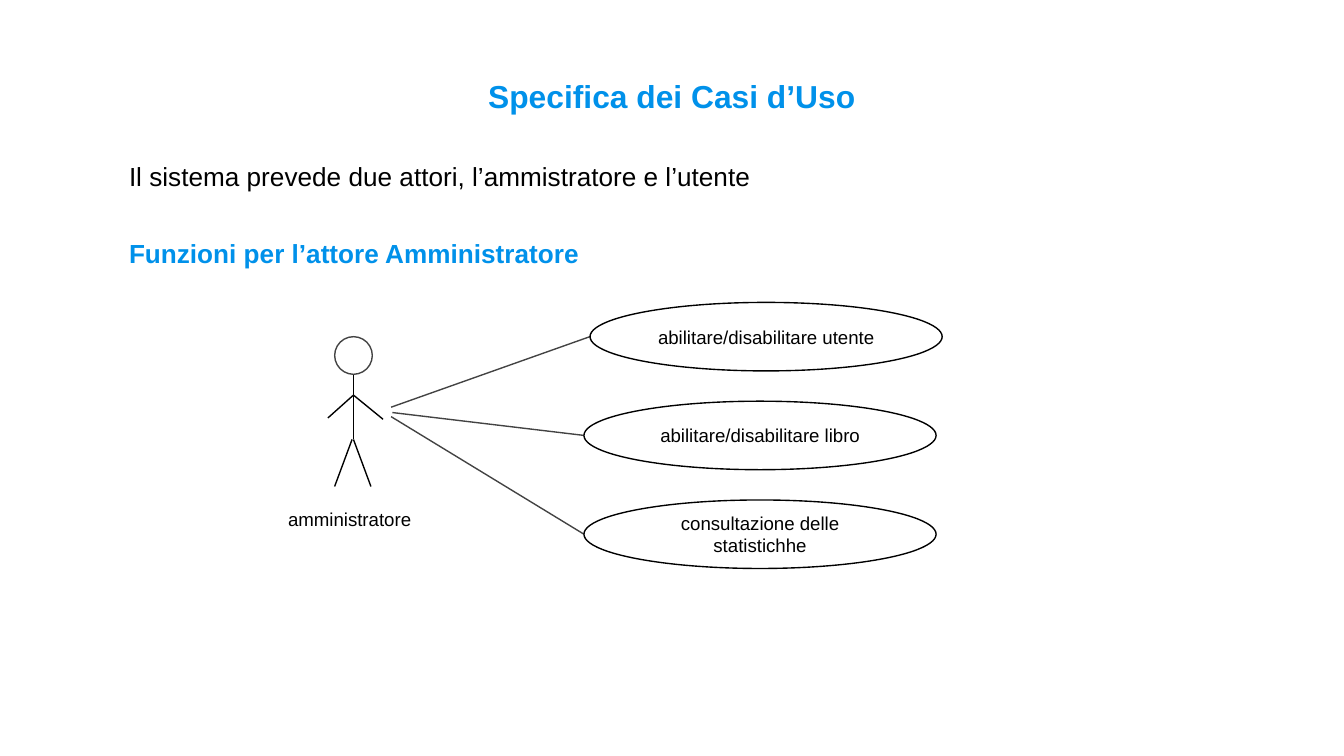
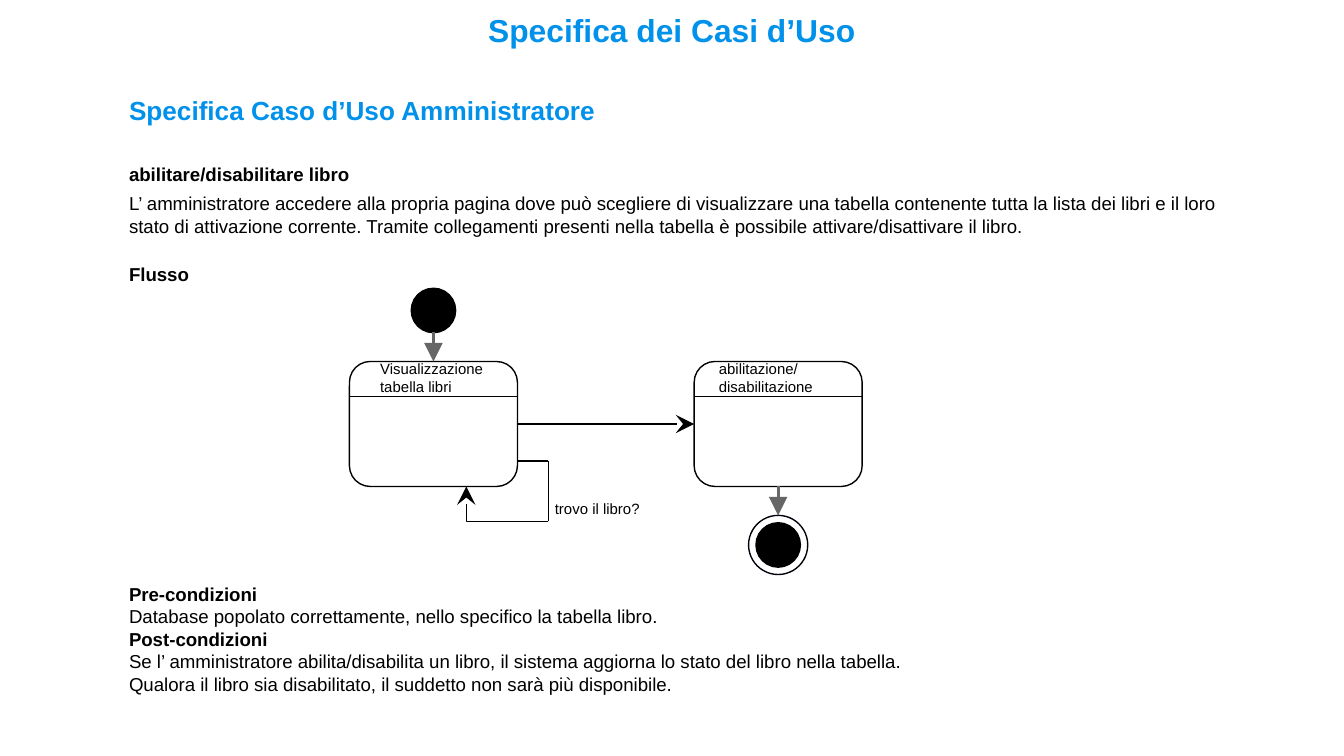
from pptx import Presentation
from pptx import util as u
from pptx.dml.color import RGBColor
from pptx.enum import shapes, text
from pptx.oxml.ns import qn
from lxml import etree

CELL = u.Inches(0.1)
COLS, ROWS = 100, 56.25
LEFT, SPAN = 8.6, 82.8
FACE = "Arial"
BLUE = RGBColor(0x00, 0x91, 0xEA)
BLACK = RGBColor(0, 0, 0)
INK = RGBColor(0x00, 0x00, 0x0A)
GRAY = RGBColor(0x66, 0x66, 0x66)
DARK = RGBColor(0x43, 0x43, 0x43)
LEAD = {"line_spacing": 1.15, "space_before": u.Pt(18), "space_after": u.Pt(4)}
PLAIN = {"line_spacing": 1.0, "space_before": u.Pt(0), "space_after": u.Pt(0)}
OVAL = shapes.MSO_SHAPE.OVAL
ROUND = shapes.MSO_SHAPE.ROUNDED_RECTANGLE
CENTER = text.PP_ALIGN.CENTER


def grid(*cells):
    return [round(c * CELL) for c in cells]


def apply(item, form):
    for key, value in form.items():
        setattr(item, key, value)


def style(par, size, color=BLACK, bold=False, form=PLAIN):
    apply(par, form)
    apply(par.font, {"name": FACE, "size": u.Pt(size), "bold": bold})
    par.font.color.rgb = color


def frame(shape, pad=0.1, anchor=text.MSO_ANCHOR.TOP):
    tf = shape.text_frame
    apply(tf, {"word_wrap": True, "auto_size": text.MSO_AUTO_SIZE.NONE,
               "vertical_anchor": anchor,
               "margin_left": u.Inches(0.1), "margin_right": u.Inches(0.1),
               "margin_top": u.Inches(pad), "margin_bottom": u.Inches(pad)})
    return tf


def place(shape, *cells):
    apply(shape, dict(zip(("left", "top", "width", "height"), grid(*cells))))


def title(slide, top):
    box = slide.shapes.title
    place(box, LEFT, top, SPAN, 4)
    tf = frame(box, 0, text.MSO_ANCHOR.MIDDLE)
    tf.text = "Specifica dei Casi d’Uso"
    style(tf.paragraphs[0], 17, BLUE, True, {**PLAIN, "alignment": CENTER})


def body(slide, index, top, high, rows):
    box = slide.placeholders[index]
    place(box, LEFT, top, SPAN, high)
    tf = frame(box, 0)
    tf.text = "\n".join(row[0] for row in rows)
    for n, (par, row) in enumerate(zip(tf.paragraphs, rows)):
        props = par._p.get_or_add_pPr()
        props.set("marL", "0")
        props.set("indent", "0")
        etree.SubElement(props, qn("a:buNone"))
        style(par, *row[1:])
        if n == 0:
            par.space_before = u.Pt(0)


def label(slide, words, size, *cells):
    tf = frame(slide.shapes.add_textbox(*grid(*cells)))
    tf.text = words
    for par in tf.paragraphs:
        style(par, size)


def form(tree, kind, cells, color=BLACK, width=0.75, fill=None):
    shape = tree.add_shape(kind, *grid(*cells))
    shape.shadow.inherit = False
    if fill is None:
        shape.fill.background()
    else:
        shape.fill.solid()
        shape.fill.fore_color.rgb = fill
    shape.line.color.rgb = color
    shape.line.width = u.Pt(width)
    return shape


def line(tree, ends, color=BLACK, width=0.75, head=None,
         kind=shapes.MSO_CONNECTOR.STRAIGHT):
    link = tree.add_connector(kind, *grid(*ends))
    link.line.color.rgb = color
    link.line.width = u.Pt(width)
    if head:
        etree.SubElement(link.line._get_or_add_ln(), qn("a:tailEnd"),
                         type=head, w="lg", len="lg")
    etree.SubElement(link._element.spPr, qn("a:effectLst"))
    return link


def bend(tree, ends, head):
    link = line(tree, ends, head=head, kind=shapes.MSO_CONNECTOR.ELBOW)
    geom = link._element.spPr.find(qn("a:prstGeom"))
    guides = geom.find(qn("a:avLst"))
    if guides is None:
        guides = etree.SubElement(geom, qn("a:avLst"))
    etree.SubElement(guides, qn("a:gd"), name="adj1", fmla="val 100000")


def actor(slide):
    tree = slide.shapes.add_group_shape().shapes
    form(tree, OVAL, (24.9, 25.05, 2.8, 2.8), DARK)
    for ends in ((26.3, 27.9, 26.3, 32.7), (26.3, 29.4, 28.5, 31.2),
                 (24.4, 31.1, 26.3, 29.4), (26.3, 32.7, 27.6, 36.2),
                 (26.2, 32.7, 24.9, 36.2)):
        line(tree, ends)


def case(slide, words, left, top, start):
    line(slide.shapes, (left, top + 2.55, *start), DARK)
    oval = form(slide.shapes, OVAL, (left, top, 26.2, 5.1))
    tf = frame(oval, anchor=text.MSO_ANCHOR.MIDDLE)
    tf.text = words
    style(tf.paragraphs[0], 10, form={**PLAIN, "alignment": CENTER})


def state(slide, words, left, inset):
    top = 26.9
    tree = slide.shapes.add_group_shape().shapes
    box = form(tree, ROUND, (left, top, 12.5, 9.3))
    line(tree, (left, top + 2.6, left + 12.5, top + 2.6))
    label(slide, words, 8, left + inset, top - 1.15, 10.9, 2.2)
    return box


def dot(slide, left, top):
    form(slide.shapes, OVAL, (left, top, 3.2, 3.2), width=1.5, fill=BLACK)


def cases(slide):
    title(slide, 5.1)
    body(slide, 1, 11.55, 9, [
        ("Il sistema prevede due attori, l’ammistratore e l’utente", 14, BLACK, False, LEAD),
        ("Funzioni per l’attore Amministratore", 14, BLUE, True, LEAD)])
    actor(slide)
    label(slide, "amministratore", 10, 20.45, 36.8, 12.1, 3.2)
    uses = [("abilitare/disabilitare utente", 43.9, (29.1, 30.3)),
            ("abilitare/disabilitare libro", 43.45, (29.2, 30.7)),
            ("consultazione delle statistichhe", 43.45, (29.1, 31))]
    for n, (words, left, start) in enumerate(uses):
        case(slide, words, left, 22.5 + 7.35 * n, start)


def flow(slide):
    title(slide, 0.2)
    body(slide, 1, 6.65, 14.8, [
        ("Specifica Caso d’Uso Amministratore", 14, BLUE, True, LEAD),
        ("abilitare/disabilitare libro", 10, BLACK, True, {**LEAD, "space_before": u.Pt(14)}),
        ("L’ amministratore accedere alla propria pagina dove può scegliere di "
         "visualizzare una tabella contenente tutta la lista dei libri e il loro "
         "stato di attivazione corrente. Tramite collegamenti presenti nella tabella "
         "è possibile attivare/disattivare il libro.", 10),
        ("Flusso", 10, BLACK, True,
         {**LEAD, "space_before": u.Pt(12), "space_after": u.Pt(2)})])
    body(slide, 2, 43.35, 8.5, [
        ("Pre-condizioni", 10, BLACK, True),
        ("Database popolato correttamente, nello specifico la tabella libro.", 10),
        ("Post-condizioni", 10, BLACK, True),
        ("Se l’ amministratore abilita/disabilita un libro, il sistema aggiorna "
         "lo stato del libro nella tabella.", 10),
        ("Qualora il libro sia disabilitato, il suddetto non sarà più disponibile.", 10)])

    tree = slide.shapes
    view = state(slide, "Visualizzazione tabella libri", 26, 1.3)
    edit = state(slide, "abilitazione/\ndisabilitazione", 51.65, 0.85)
    dot(slide, 30.65, 21.5)
    line(tree, (32.25, 24.7, 32.25, 26.9), GRAY, 1.5, "triangle").end_connect(view, 0)
    step = line(tree, (38.5, 31.55, 51.65, 31.55), head="stealth")
    step.begin_connect(view, 3)
    step.end_connect(edit, 1)

    line(tree, (38.5, 34.3, 40.8, 34.3))
    line(tree, (40.8, 34.3, 40.8, 38.8))
    bend(tree, (40.8, 38.8, 34.7, 36.2), "stealth")
    label(slide, "trovo il libro?", 8, 40.3, 36.2, 10.9, 2.2)

    dot(slide, 56.3, 38.95)
    form(tree, OVAL, (55.7, 38.35, 4.4, 4.4), INK)
    line(tree, (57.9, 36.2, 57.9, 38.35), GRAY, 1.5, "triangle").begin_connect(edit, 2)


def main():
    deck = Presentation()
    deck.slide_width, deck.slide_height = grid(COLS, ROWS)
    for index, draw in ((1, cases), (3, flow)):
        draw(deck.slides.add_slide(deck.slide_layouts[index]))
    deck.save("out.pptx")


if __name__ == "__main__":
    main()
